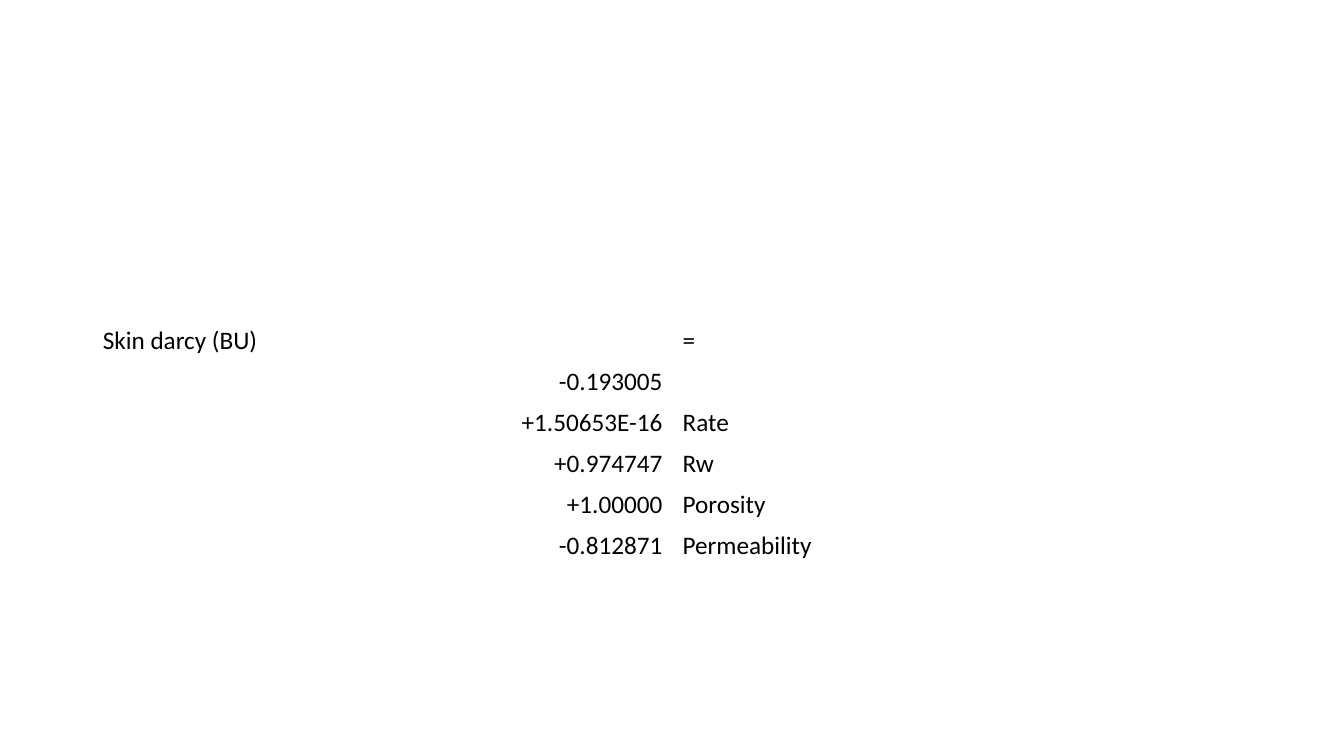
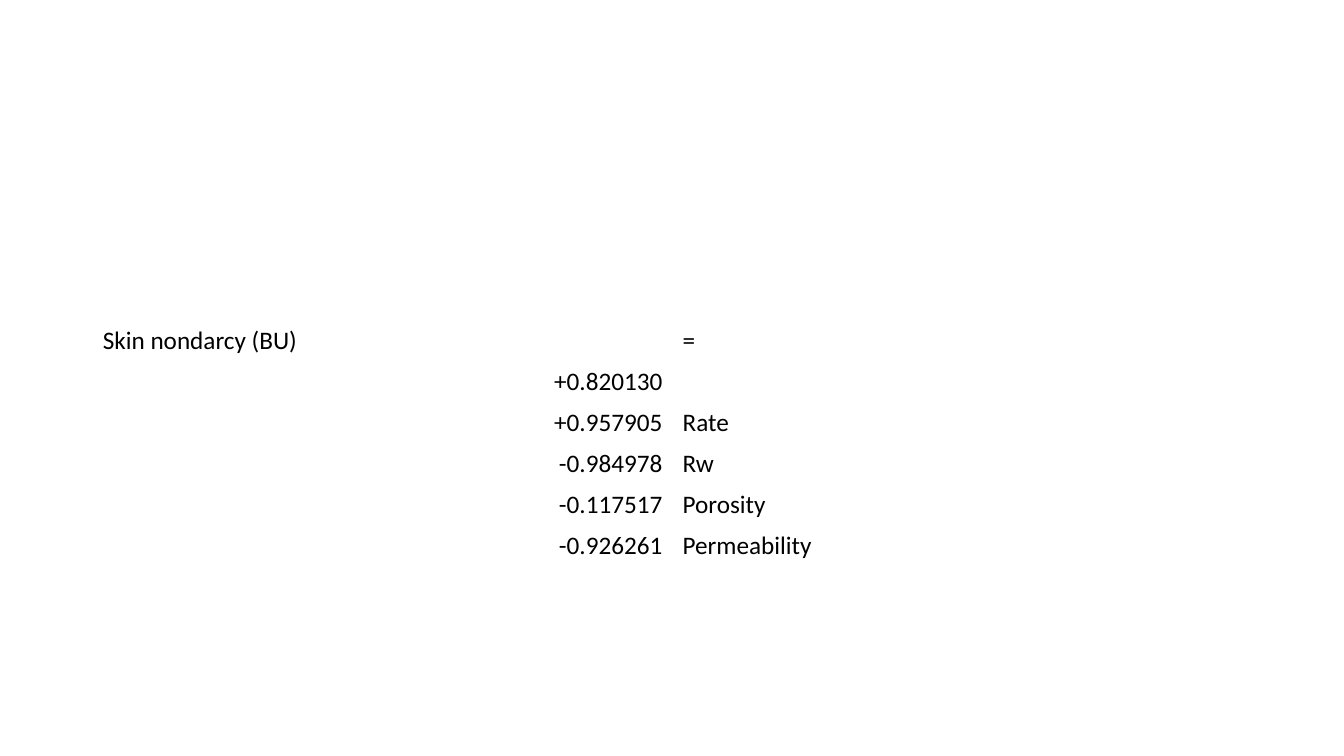
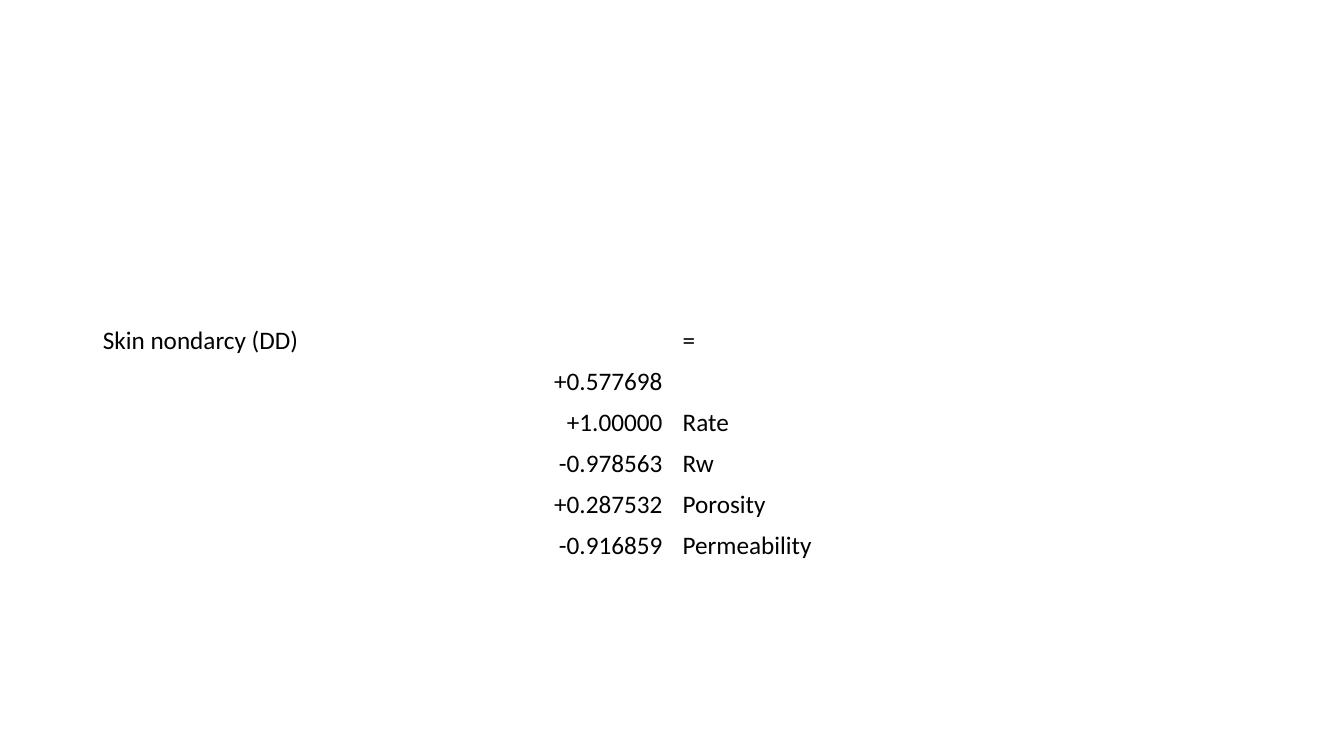
"""Build three slides of skin-factor correlation coefficients."""
from pptx import Presentation, util as u
from pptx.dml.color import RGBColor
from pptx.enum import text

COLORS = {"text": "000000", "cell": "FFFFFF"}
TERMS = ["", "Rate", "Rw", "Porosity", "Permeability"]
MODELS = {
    "Skin darcy (BU)": ["-0.193005", "+1.50653E-16", "+0.974747", "+1.00000", "-0.812871"],
    "Skin nondarcy (BU)": ["+0.820130", "+0.957905", "-0.984978", "-0.117517", "-0.926261"],
    "Skin nondarcy (DD)": ["+0.577698", "+1.00000", "-0.978563", "+0.287532", "-0.916859"],
}


class Deck:
    """Hold the shared style and the current slide."""

    font, size = "Calibri", u.Pt(18)
    left, top, width, row_height = u.Inches(0.92), u.Inches(3.18), u.Inches(11.5), u.Inches(0.4)

    def __init__(self):
        """Start an empty widescreen presentation."""
        self.prs = Presentation()
        self.prs.slide_width, self.prs.slide_height = u.Inches(13.33), u.Inches(7.5)
        self.s = None

    def slide(self):
        """Add a blank slide and make it current."""
        self.s = self.prs.slides.add_slide(self.prs.slide_layouts[6])

    def cell(self, cell, content, align):
        """Fill and style one table cell."""
        cell.fill.solid()
        cell.fill.fore_color.rgb = RGBColor.from_string(COLORS["cell"])
        cell.vertical_anchor = text.MSO_ANCHOR.MIDDLE
        p = cell.text_frame.paragraphs[0]
        p.text = content
        p.alignment = align
        p.font.name, p.font.size = self.font, self.size
        p.font.color.rgb = RGBColor.from_string(COLORS["text"])

    def equation(self, name, coefficients):
        """Add a table that pairs each coefficient with its term."""
        rows = [(name, "="), *zip(coefficients, TERMS)]
        table = self.s.shapes.add_table(
            len(rows), 2, self.left, self.top, self.width, self.row_height * len(rows)
        ).table
        table.first_row = table.horz_banding = False
        for i, (value, term) in enumerate(rows):
            align = text.PP_ALIGN.RIGHT if i else text.PP_ALIGN.LEFT
            self.cell(table.cell(i, 0), value, align)
            self.cell(table.cell(i, 1), term, text.PP_ALIGN.LEFT)


deck = Deck()
for name, coefficients in MODELS.items():
    deck.slide()
    deck.equation(name, coefficients)
deck.prs.save("out.pptx")
